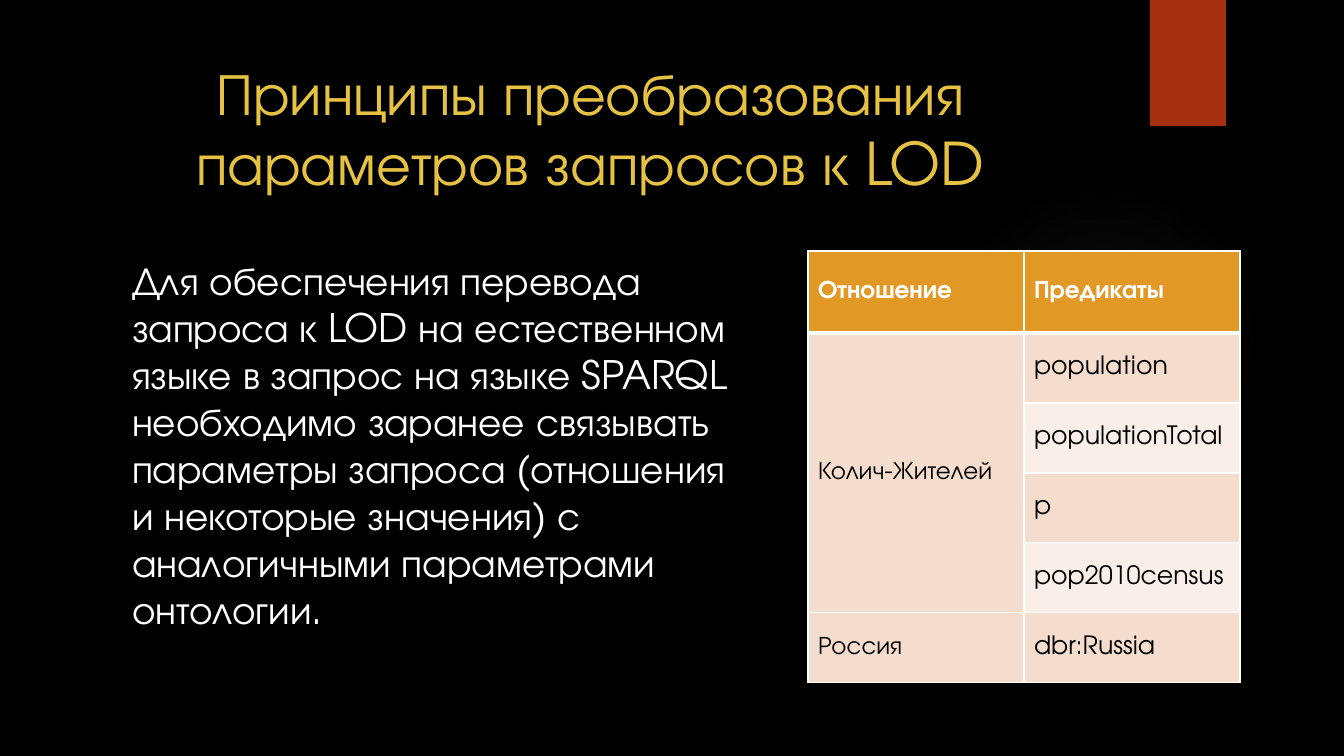
import pptx
import pptx.dml.color
import pptx.enum.shapes
import pptx.enum.text
import pptx.oxml.ns
import pptx.util
from lxml import etree

RGB = pptx.dml.color.RGBColor
BLACK = RGB(0x00, 0x00, 0x00)
WHITE = RGB(0xFF, 0xFF, 0xFF)
GOLD = RGB(0xE5, 0xC2, 0x43)
RED = RGB(0xA5, 0x30, 0x0F)
GREY = RGB(0x84, 0x84, 0x84)
ORANGE = RGB(0xE1, 0x98, 0x25)
PEACH = RGB(0xF4, 0xDD, 0xCD)
PALE = RGB(0xF9, 0xEF, 0xE8)

SHAPE = pptx.enum.shapes.MSO_SHAPE
ALIGN = pptx.enum.text.PP_ALIGN
ANCHOR = pptx.enum.text.MSO_ANCHOR

TITLE = "Принципы преобразования параметров запросов к LOD"
BODY = ("Для обеспечения перевода запроса к LOD на естественном языке "
        "в запрос на языке SPARQL необходимо заранее связывать параметры "
        "запроса (отношения и некоторые значения) с аналогичными "
        "параметрами онтологии.")
HEADER = ("Отношение", "Предикаты")
RELATIONS = [
    ("Колич-Жителей", ["population", "populationTotal", "p", "pop2010census"]),
    ("Россия", ["dbr:Russia"]),
]


def px(n):
    return pptx.util.Emu(round(n * 914400 / 100.8))


def sub(parent, tag, **attrs):
    return etree.SubElement(parent, pptx.oxml.ns.qn(tag), attrs)


class Deck:
    font = "TeX Gyre Adventor"

    def __init__(self, width, height):
        self.prs = pptx.Presentation()
        self.prs.slide_width, self.prs.slide_height = px(width), px(height)

    def slide(self, color):
        self.s = self.prs.slides.add_slide(self.prs.slide_layouts[1])
        fill = self.s.background.fill
        fill.solid()
        fill.fore_color.rgb = color

    def run(self, p, text, size, color, bold=False):
        r = p.add_run()
        r.text = text
        f = r.font
        f.name, f.size, f.bold = self.font, pptx.util.Pt(size), bold
        f.color.rgb = color

    def placeholder(self, idx, box, text, size, color, anchor, align, before=0):
        sp = self.s.placeholders[idx]
        sp.left, sp.top, sp.width, sp.height = map(px, box)
        tf = sp.text_frame
        tf.word_wrap = True
        tf.auto_size = pptx.enum.text.MSO_AUTO_SIZE.NONE
        tf.vertical_anchor = anchor
        p = tf.paragraphs[0]
        p.alignment = align
        p.space_before = pptx.util.Pt(before)
        pPr = p._p.get_or_add_pPr()
        pPr.set("marL", "0")
        pPr.set("indent", "0")
        sub(pPr, "a:buNone")
        self.run(p, text, size, color)

    def shape(self, kind, box, color):
        sp = self.s.shapes.add_shape(kind, *map(px, box))
        sp.shadow.inherit = False
        sp.line.fill.background()
        sp.fill.solid()
        sp.fill.fore_color.rgb = color
        return sp

    def glow(self, box, color, stops):
        """Ellipse fading outwards; stops are (position, opacity) in percent."""
        sp = self.shape(SHAPE.OVAL, box, color)
        spPr = sp._element.spPr
        grad = etree.Element(pptx.oxml.ns.qn("a:gradFill"), rotWithShape="1")
        gs_list = sub(grad, "a:gsLst")
        for position, opacity in stops:
            gs = sub(gs_list, "a:gs", pos=str(position * 1000))
            clr = sub(gs, "a:srgbClr", val=str(color))
            sub(clr, "a:alpha", val=str(opacity * 1000))
        circle = sub(grad, "a:path", path="circle")
        sub(circle, "a:fillToRect", l="50000", t="50000", r="50000", b="50000")
        spPr.replace(spPr.find(pptx.oxml.ns.qn("a:solidFill")), grad)

    def table(self, left, top, col_width, row_heights, cols):
        frame = self.s.shapes.add_table(
            len(row_heights), cols, px(left), px(top),
            px(col_width * cols), px(sum(row_heights)))
        tbl = frame.table
        for col in tbl.columns:
            col.width = px(col_width)
        for row, height in zip(tbl.rows, row_heights):
            row.height = px(height)
        return tbl

    def cell(self, cell, text, fill, color, bold=False, top=1, bottom=1):
        """Fill one cell; top and bottom are border widths in points."""
        tcPr = cell._tc.get_or_add_tcPr()
        for side, width in zip("LRTB", (1, 1, top, bottom)):
            ln = sub(tcPr, "a:ln" + side, w=str(pptx.util.Pt(width)))
            sub(sub(ln, "a:solidFill"), "a:srgbClr", val=str(WHITE))
        cell.fill.solid()
        cell.fill.fore_color.rgb = fill
        cell.vertical_anchor = ANCHOR.MIDDLE
        if text:
            self.run(cell.text_frame.paragraphs[0], text, 18, color, bold)


def main():
    deck = Deck(1344, 756)
    deck.slide(BLACK)
    deck.glow((949, 184, 310, 310), GREY, [(0, 7), (36, 6), (69, 0)])
    deck.shape(SHAPE.RECTANGLE, (1150, 0, 76, 126), RED)
    deck.placeholder(0, (72, 50, 1037, 154), TITLE, 42, GOLD,
                     ANCHOR.MIDDLE, ALIGN.CENTER)
    deck.placeholder(1, (122, 251, 633, 463), BODY, 28, WHITE,
                     ANCHOR.TOP, ALIGN.LEFT, before=10)

    count = sum(len(predicates) for _, predicates in RELATIONS)
    tbl = deck.table(808, 251, 216, [82] + [70] * count, len(HEADER))
    for c, text in enumerate(HEADER):
        deck.cell(tbl.cell(0, c), text, ORANGE, WHITE, bold=True, bottom=3)
    row = 1
    for relation, predicates in RELATIONS:
        first = row
        for predicate in predicates:
            top = 3 if row == 1 else 1
            band = PEACH if row % 2 else PALE
            name = relation if row == first else ""
            deck.cell(tbl.cell(row, 0), name, PEACH, BLACK, top=top)
            deck.cell(tbl.cell(row, 1), predicate, band, BLACK, top=top)
            row += 1
        if len(predicates) > 1:
            tbl.cell(first, 0).merge(tbl.cell(row - 1, 0))
    deck.prs.save("out.pptx")


if __name__ == "__main__":
    main()
